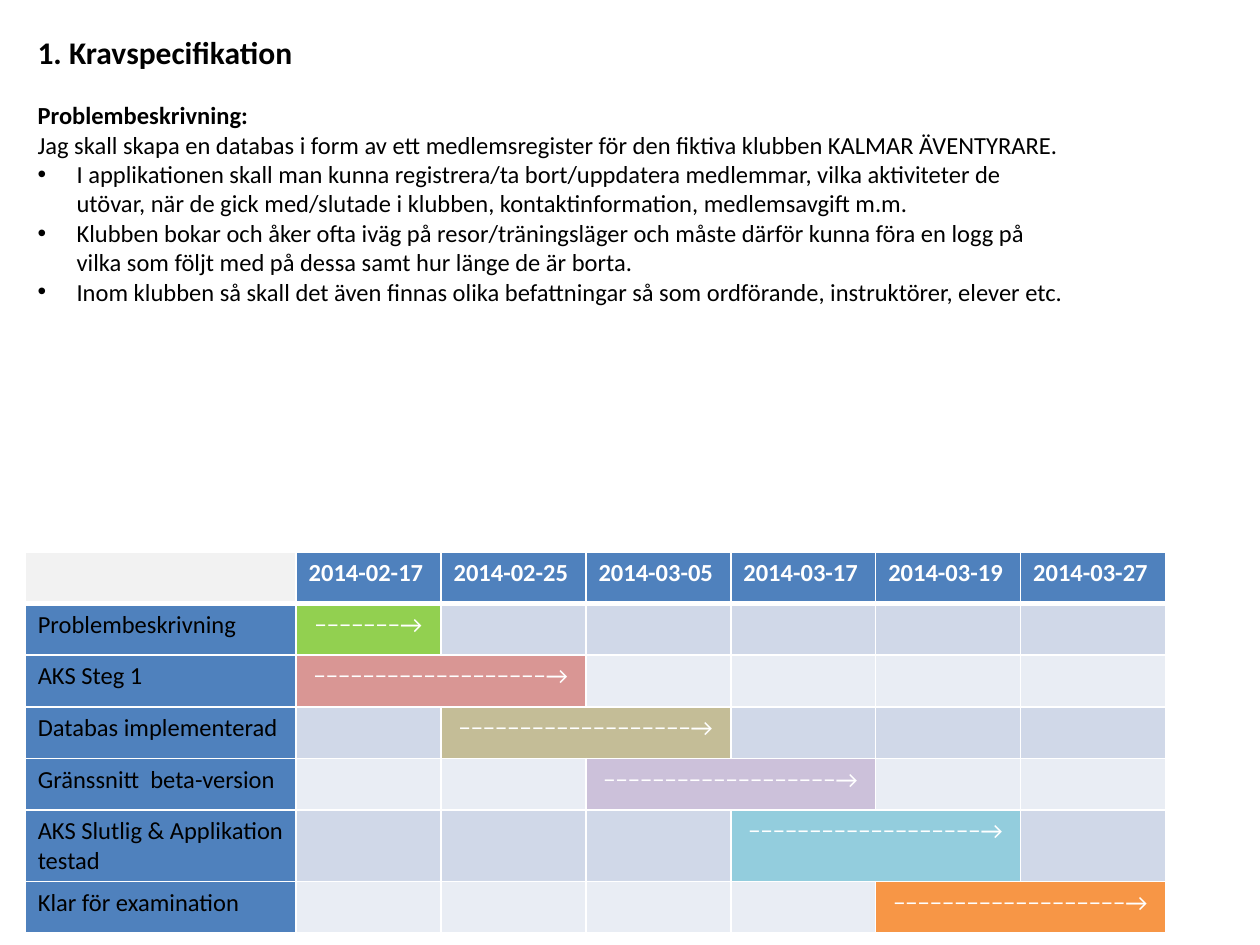
import pptx
import pptx.util
import pptx.dml.color
import pptx.enum.text
import pptx.oxml
import pptx.oxml.ns
from lxml import etree

Inches, Pt = pptx.util.Inches, pptx.util.Pt
RGB = pptx.dml.color.RGBColor.from_string
qn = pptx.oxml.ns.qn

theme = dict(font="Calibri", title=18, body=14, black="000000", white="FFFFFF",
             blue="4F81BD", corner="F2F2F2", bands=("D0D8E8", "E9EDF4"))


def style(p, size, color, bold=False):
    for r in p.runs:
        r.font.name = theme["font"]
        r.font.size = Pt(size)
        r.font.bold = bold
        r.font.color.rgb = RGB(color)


def format_cell(cell, fill, top, bottom):
    cell.fill.solid()
    cell.fill.fore_color.rgb = RGB(fill)
    tcPr = cell._tc.get_or_add_tcPr()
    for i, (side, width) in enumerate(zip("LRTB", (1, 1, top, bottom))):
        ln = etree.Element(qn("a:ln" + side), w=str(Pt(width)))
        solid = etree.SubElement(ln, qn("a:solidFill"))
        etree.SubElement(solid, qn("a:srgbClr"), val=theme["white"])
        tcPr.insert(i, ln)


prs = pptx.Presentation()
prs.slide_width, prs.slide_height = Inches(10), Inches(7.5)
s = prs.slides.add_slide(prs.slide_layouts[6])

# Problem description
tf = s.shapes.add_textbox(Inches(0.2), Inches(0.21), Inches(8.43), Inches(2.29)).text_frame
tf.word_wrap = True
heading, subheading = "1. Kravspecifikation", "Problembeskrivning:"
intro = ("Jag skall skapa en databas i form av ett medlemsregister för den fiktiva "
         "klubben KALMAR ÄVENTYRARE.")
bullets = [
    "I applikationen skall man kunna registrera/ta bort/uppdatera medlemmar, vilka "
    "aktiviteter de utövar, när de gick med/slutade i klubben, kontaktinformation, "
    "medlemsavgift m.m.",
    "Klubben bokar och åker ofta iväg på resor/träningsläger och måste därför kunna "
    "föra en logg på vilka som följt med på dessa samt hur länge de är borta.",
    "Inom klubben så skall det även finnas olika befattningar så som ordförande, "
    "instruktörer, elever etc.",
]
tf.text = "\n".join([heading, subheading, intro] + bullets)
for i, p in enumerate(tf.paragraphs):
    style(p, theme["title"] if i == 0 else theme["body"], theme["black"], bold=i < 2)
tf.paragraphs[1].space_before = Pt(17)
for p in tf.paragraphs[3:]:
    pPr = p._p.get_or_add_pPr()
    pPr.set("marL", str(Inches(0.31)))
    pPr.set("indent", str(Inches(-0.31)))
    etree.SubElement(pPr, qn("a:buFont"), typeface="Arial")
    etree.SubElement(pPr, qn("a:buChar"), char="•")

# Schedule: task, first date column, columns spanned, bar colour
dates = ["2014-02-17", "2014-02-25", "2014-03-05", "2014-03-17", "2014-03-19", "2014-03-27"]
tasks = [
    ("Problembeskrivning", 1, 1, "92D050"),
    ("AKS Steg 1", 1, 2, "D99694"),
    ("Databas implementerad", 2, 2, "C4BD97"),
    ("Gränssnitt  beta-version", 3, 2, "CCC1DA"),
    ("AKS Slutlig & Applikation testad", 4, 2, "93CDDD"),
    ("Klar för examination", 5, 2, "F79646"),
]
table = s.shapes.add_table(len(tasks) + 1, len(dates) + 1, Inches(0.2), Inches(4.38),
                           Inches(9.07), Inches(3)).table
for c, col in enumerate(table.columns):
    col.width = Inches(1.15 if c else 2.15)
for row in table.rows:
    row.height = Inches(0.41)

# Header row
for c, date in enumerate([""] + dates):
    cell = table.cell(0, c)
    format_cell(cell, theme["blue"] if c else theme["corner"], 1, 3)
    if date:
        cell.text_frame.text = date
        style(cell.text_frame.paragraphs[0], theme["body"], theme["white"], bold=True)

# Task rows with their bars
for r, (task, first, span, color) in enumerate(tasks, 1):
    for c in range(len(dates) + 1):
        in_bar = first <= c < first + span
        fill = theme["blue"] if c == 0 else color if in_bar else theme["bands"][(r - 1) % 2]
        format_cell(table.cell(r, c), fill, 3 if r == 1 else 1, 1)
    label, bar = table.cell(r, 0), table.cell(r, first)
    label.text_frame.text = task
    style(label.text_frame.paragraphs[0], theme["body"], theme["black"])
    if span > 1:
        bar.merge(table.cell(r, first + span - 1))
    bar.text_frame.text = "−" * (12 * span - 5) + "→"
    p = bar.text_frame.paragraphs[0]
    p.alignment = pptx.enum.text.PP_ALIGN.CENTER
    style(p, theme["body"], theme["white"])

prs.save("out.pptx")
